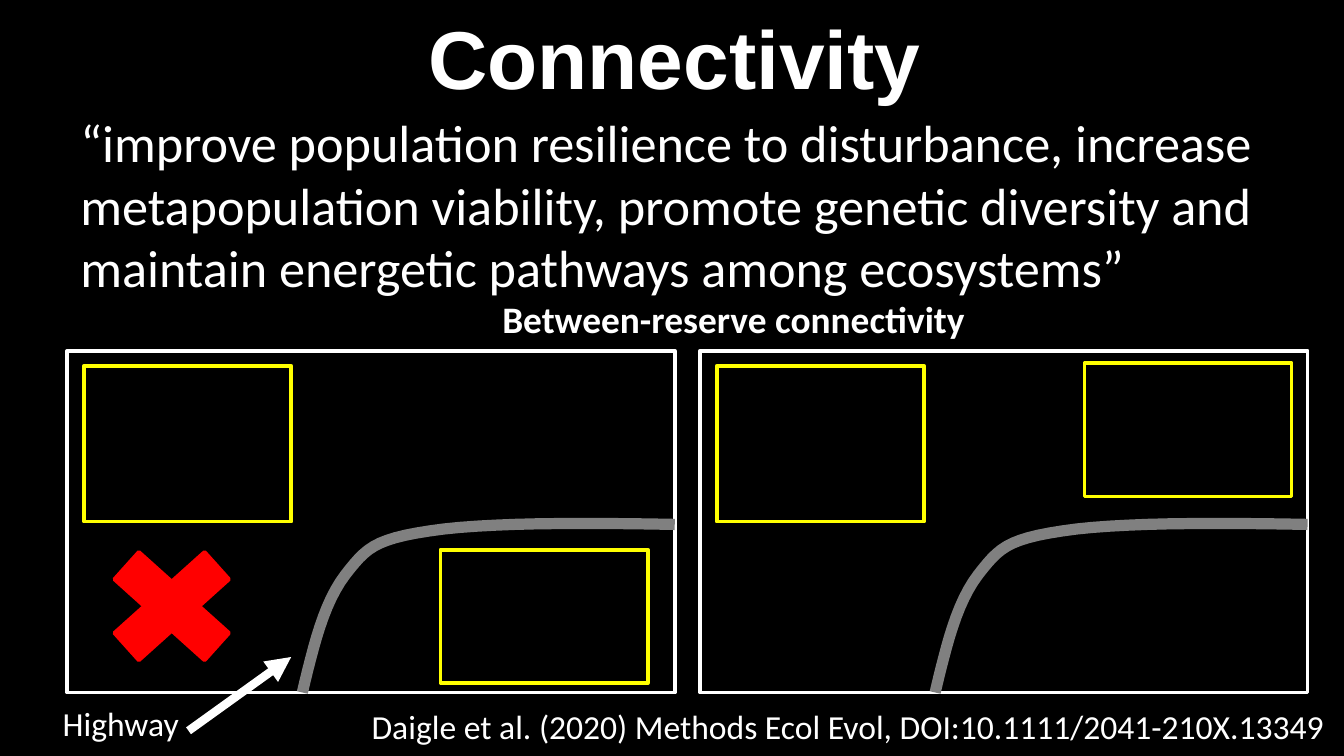
from lxml.etree import SubElement
from pptx import Presentation
from pptx.dml.color import RGBColor
from pptx.enum.shapes import MSO_CONNECTOR, MSO_SHAPE
from pptx.enum.text import MSO_ANCHOR, PP_ALIGN
from pptx.oxml.ns import qn
from pptx.util import Pt

WHITE, BLACK, YELLOW, GREY, RED = "FFFFFF", "000000", "FFFF00", "808080", "FF0000"
PANEL_W, PANEL_H = 325.5, 183
ROAD_START = (126, 183)
ROAD_CURVES = [
    ((132, 158), (137.5, 135), (149, 120)),
    ((160, 106), (164, 101), (194, 96.5)),
    ((223, 92), (274, 92), (325.5, 93)),
]


def rgb(color):
    return RGBColor.from_string(color)


def place(sp, x, y, w, h):
    sp.left, sp.top, sp.width, sp.height = Pt(x), Pt(y), Pt(w), Pt(h)


def write(tf, text, size, font="Calibri", bold=False, align=PP_ALIGN.LEFT):
    tf.word_wrap = True
    p = tf.paragraphs[0]
    p.alignment = align
    r = p.add_run()
    r.text = text
    r.font.name, r.font.size, r.font.bold = font, Pt(size), bold
    r.font.color.rgb = rgb(WHITE)


def add_title(s, text, x, y, w, h):
    sp = s.shapes.title
    place(sp, x, y, w, h)
    sp.text_frame.vertical_anchor = MSO_ANCHOR.MIDDLE
    write(sp.text_frame, text, 44, "Arial", True, PP_ALIGN.CENTER)


def add_text(s, text, size, x, y, w, h, bold=False):
    sp = s.shapes.add_textbox(Pt(x), Pt(y), Pt(w), Pt(h))
    write(sp.text_frame, text, size, bold=bold)


def add_box(s, x, y, w, h, line, fill=None, shape=MSO_SHAPE.RECTANGLE):
    sp = s.shapes.add_shape(shape, Pt(x), Pt(y), Pt(w), Pt(h))
    sp.shadow.inherit = False
    if fill:
        sp.fill.solid()
        sp.fill.fore_color.rgb = rgb(fill)
    else:
        sp.fill.background()
    sp.line.color.rgb = rgb(line)
    sp.line.width = Pt(2)


def bezier(p0, p1, p2, p3, steps=12):
    for i in range(1, steps + 1):
        t = i / steps
        u = 1 - t
        yield tuple(u**3 * a + 3 * u * u * t * b + 3 * u * t * t * c + t**3 * d
                    for a, b, c, d in zip(p0, p1, p2, p3))


def add_road(s, x, y):
    points = [ROAD_START]
    for curve in ROAD_CURVES:
        points.extend(bezier(points[-1], *curve))
    points = [(Pt(x + px), Pt(y + py)) for px, py in points]
    builder = s.shapes.build_freeform(*points[0])
    builder.add_line_segments(points[1:], close=False)
    sp = builder.convert_to_shape()
    sp.shadow.inherit = False
    sp.fill.background()
    sp.line.color.rgb = rgb(GREY)
    sp.line.width = Pt(6)


def add_panel(s, x, y, small_x, small_y):
    add_box(s, x, y, PANEL_W, PANEL_H, WHITE, BLACK)
    add_box(s, x + 9, y + 8, 111, 83.5, YELLOW)
    add_road(s, x, y)
    add_box(s, x + small_x, y + small_y, 111, 71.5, YELLOW)


def add_arrow(s, x1, y1, x2, y2):
    cn = s.shapes.add_connector(MSO_CONNECTOR.STRAIGHT, Pt(x1), Pt(y1), Pt(x2), Pt(y2))
    cn.line.color.rgb = rgb(WHITE)
    cn.line.width = Pt(4.5)
    SubElement(cn.line._get_or_add_ln(), qn("a:tailEnd"), type="triangle")
    SubElement(cn._element.spPr, qn("a:effectLst"))


def main():
    prs = Presentation()
    prs.slide_width, prs.slide_height = Pt(720), Pt(405)
    s = prs.slides.add_slide(prs.slide_layouts[5])
    s.background.fill.solid()
    s.background.fill.fore_color.rgb = rgb(BLACK)

    add_title(s, "Connectivity", 37.5, -3.5, 648, 67.5)
    add_text(s, "“improve population resilience to disturbance, increase metapopulation "
             "viability, promote genetic diversity and maintain energetic pathways "
             "among ecosystems”", 28, 36, 55.5, 648, 106.5)
    add_text(s, "Daigle et al. (2020) Methods Ecol Evol, DOI:10.1111/2041-210X.13349",
             18, 192, 374.5, 527, 29)
    add_text(s, "Between-reserve connectivity", 20, 262, 155, 292, 31.5, True)

    add_panel(s, 36, 188, 200, 106.5)
    add_panel(s, 375, 188, 206, 6.5)
    add_box(s, 45.5, 283, 93, 83.5, RED, RED, MSO_SHAPE.MATH_MULTIPLY)
    add_text(s, "Highway", 18, 26.5, 373, 93, 29)
    add_arrow(s, 101, 391.5, 156, 352)

    prs.save("out.pptx")


if __name__ == "__main__":
    main()
